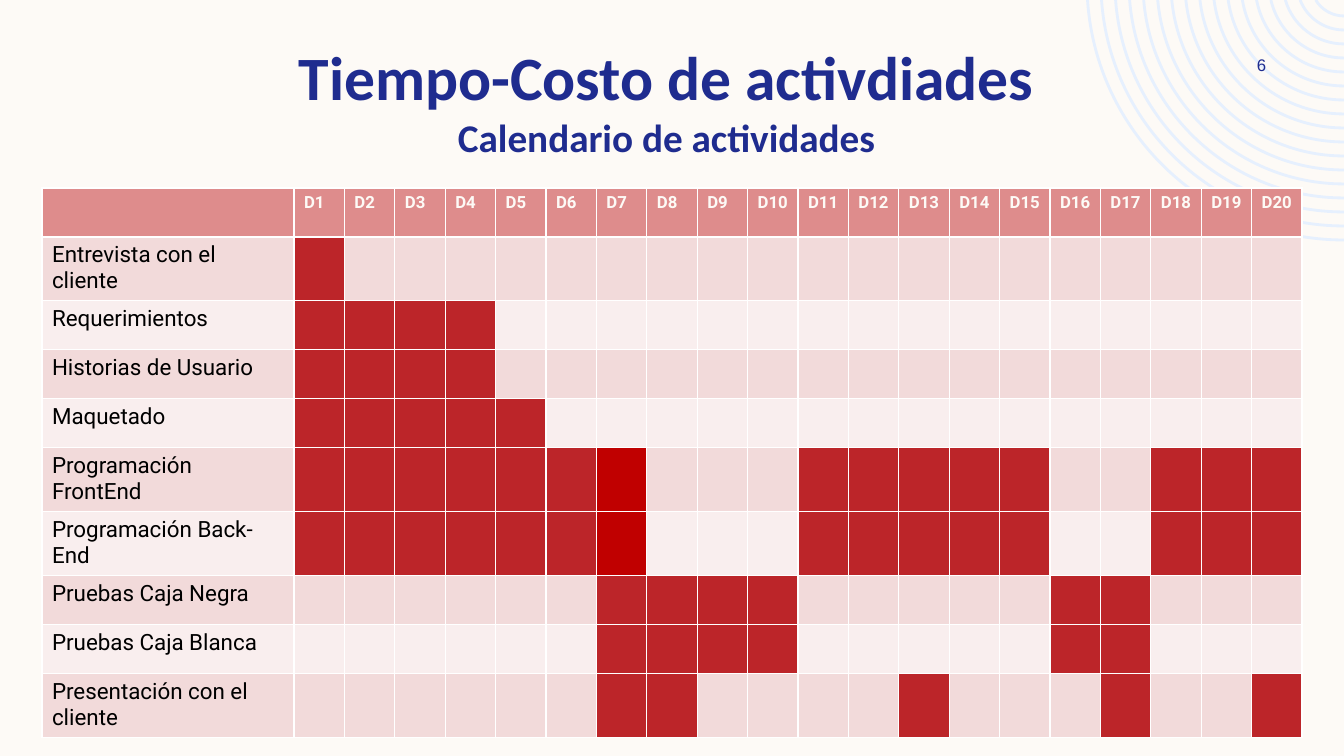
from dataclasses import dataclass
from math import asin, cos, pi, sin, tan

from lxml import etree
from pptx import Presentation
from pptx.dml.color import RGBColor
from pptx.enum.text import MSO_ANCHOR, MSO_AUTO_SIZE, PP_ALIGN
from pptx.oxml.ns import qn
from pptx.util import Emu, Pt

CENTER = PP_ALIGN.CENTER
TOP = MSO_ANCHOR.TOP
MIDDLE = MSO_ANCHOR.MIDDLE
NO_AUTOFIT = MSO_AUTO_SIZE.NONE
TITLE_ONLY = 5
EMU_PER_PX = 914400 / 100.8
DAY_COUNT = 20


@dataclass(frozen=True)
class Theme:
    paper: str = "FDFAF6"
    rings: str = "E6F0FE"
    navy: str = "1F2C8F"
    header: str = "DE8C8C"
    bands: tuple = ("F2DADA", "F9EEEE")
    busy: str = "BC2529"
    peak: str = "C00000"
    black: str = "000000"
    title_font: str = "Calibri"
    table_font: str = "Roboto"
    number_font: str = "Arial"
    title_size: int = 44
    subtitle_size: int = 28
    task_size: int = 16
    small_size: int = 12
    ring_width: int = 2


THEME = Theme()


def days(*spans):
    return {day for first, last in spans for day in range(first, last + 1)}


DEVELOPMENT = days((1, 7), (11, 15), (18, 20))
TESTING = days((7, 10), (16, 17))
PEAK_DAY = 7
TASKS = [
    ("Entrevista con el cliente", days((1, 1))),
    ("Requerimientos", days((1, 4))),
    ("Historias de Usuario", days((1, 4))),
    ("Maquetado", days((1, 5))),
    ("Programación FrontEnd", DEVELOPMENT),
    ("Programación Back-End", DEVELOPMENT),
    ("Pruebas Caja Negra", TESTING),
    ("Pruebas Caja Blanca", TESTING),
    ("Presentación con el cliente", {7, 8, 13, 17, 20}),
]


def px(length):
    return Emu(round(length * EMU_PER_PX))


def box(*lengths):
    return [px(length) for length in lengths]


def style(font, name, size, color, bold=False):
    font.name = name
    font.size = Pt(size)
    font.bold = bold
    font.color.rgb = RGBColor.from_string(color)


def paint(fill, color):
    fill.solid()
    fill.fore_color.rgb = RGBColor.from_string(color)


def arc_points(center_x, center_y, radius):
    angle = asin(-center_y / radius)
    reach = 4 / 3 * tan((pi / 2 - angle) / 4) * radius
    start_x = center_x - radius * cos(angle)
    start_y = center_y + radius * sin(angle)
    end_y = center_y + radius
    return [
        box(start_x, start_y),
        box(start_x + reach * sin(angle), start_y + reach * cos(angle)),
        box(center_x - reach, end_y),
        box(center_x, end_y),
    ]


def curve_segments(shape):
    segments = list(shape._element.iter(qn("a:lnTo")))
    for first in range(0, len(segments), 3):
        curve = etree.Element(qn("a:cubicBezTo"))
        segments[first].addprevious(curve)
        for segment in segments[first:first + 3]:
            curve.append(segment[0])
            segment.getparent().remove(segment)


def add_rings(slide):
    builder = None
    for radius in range(33, 258, 14):
        start, *others = arc_points(1344, -17, radius)
        if builder is None:
            builder = slide.shapes.build_freeform(*start, scale=1.0)
        else:
            builder.move_to(*start)
        builder.add_line_segments(others, close=False)
    rings = builder.convert_to_shape()
    curve_segments(rings)
    rings.shadow.inherit = False
    rings.fill.background()
    paint(rings.line.fill, THEME.rings)
    rings.line.width = Pt(THEME.ring_width)


def add_title(slide, heading, subheading):
    title = slide.shapes.title
    title.left, title.top, title.width, title.height = box(72, 34, 1189, 84)
    frame = title.text_frame
    frame.auto_size = NO_AUTOFIT
    frame.word_wrap = True
    frame.vertical_anchor = TOP
    paragraph = frame.paragraphs[0]
    paragraph.alignment = CENTER
    style(paragraph.font, THEME.title_font, THEME.title_size, THEME.navy, True)
    paragraph.add_run().text = heading
    paragraph.add_line_break()
    subtitle = paragraph.add_run()
    subtitle.text = subheading
    subtitle.font.size = Pt(THEME.subtitle_size)


def add_page_number(slide, number):
    frame = slide.shapes.add_textbox(*box(1207, 50, 109, 30)).text_frame
    frame.word_wrap = True
    frame.vertical_anchor = MIDDLE
    paragraph = frame.paragraphs[0]
    paragraph.text = number
    paragraph.alignment = CENTER
    style(paragraph.font, THEME.number_font, THEME.small_size, THEME.navy)


def write_cell(cell, text, size, color, bold=False):
    paragraph = cell.text_frame.paragraphs[0]
    paragraph.text = text
    style(paragraph.font, THEME.table_font, size, color, bold)


def day_color(day, busy_days, band):
    if day not in busy_days:
        return band
    if busy_days is DEVELOPMENT and day == PEAK_DAY:
        return THEME.peak
    return THEME.busy


def add_calendar(slide):
    row_count = len(TASKS) + 1
    table = slide.shapes.add_table(
        row_count, DAY_COUNT + 1, *box(42, 188, 1260, 49 * row_count)
    ).table
    for column in table.columns:
        column.width = px(1008) // DAY_COUNT
    table.columns[0].width = px(252)

    paint(table.cell(0, 0).fill, THEME.header)
    for day in range(1, DAY_COUNT + 1):
        cell = table.cell(0, day)
        paint(cell.fill, THEME.header)
        write_cell(cell, f"D{day}", THEME.small_size, THEME.paper, True)

    for row, (task, busy_days) in enumerate(TASKS, start=1):
        band = THEME.bands[(row - 1) % 2]
        paint(table.cell(row, 0).fill, band)
        write_cell(table.cell(row, 0), task, THEME.task_size, THEME.black)
        for day in range(1, DAY_COUNT + 1):
            paint(table.cell(row, day).fill, day_color(day, busy_days, band))


def main():
    presentation = Presentation()
    presentation.slide_width, presentation.slide_height = box(1344, 756)
    slide = presentation.slides.add_slide(presentation.slide_layouts[TITLE_ONLY])
    paint(slide.background.fill, THEME.paper)
    add_rings(slide)
    add_page_number(slide, "6")
    add_calendar(slide)
    add_title(slide, "Tiempo-Costo de activdiades", "Calendario de actividades")
    presentation.save("out.pptx")


if __name__ == "__main__":
    main()
